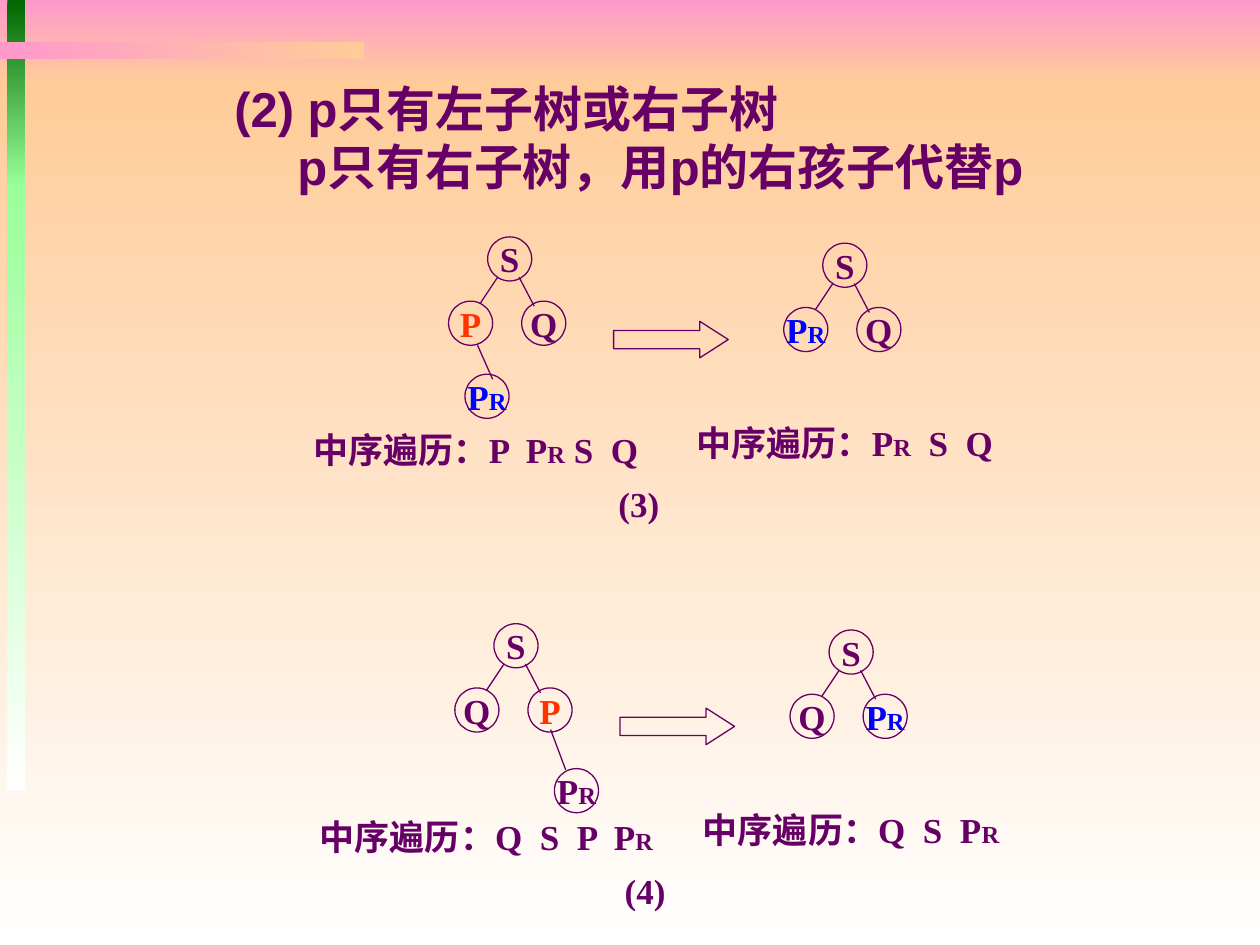
import itertools
import pptx
import pptx.util
import pptx.dml.color
import pptx.enum.shapes
import pptx.enum.text
import pptx.oxml.ns
import lxml.etree

RGB = pptx.dml.color.RGBColor
PLUM = RGB(0x66, 0x00, 0x66)
BLUE = RGB(0x00, 0x00, 0xFF)
RED = RGB(0xFF, 0x33, 0x00)
PINK = RGB(0xFF, 0x99, 0xCC)
PEACH = RGB(0xFF, 0xCC, 0x99)
WHITE = RGB(0xFF, 0xFF, 0xFF)
DARK = RGB(0x00, 0x66, 0x00)
LIME = RGB(0x99, 0xFF, 0x99)

SHAPE = pptx.enum.shapes.MSO_SHAPE
ALIGN = pptx.enum.text.PP_ALIGN
ANCHOR = pptx.enum.text.MSO_ANCHOR
FIT = pptx.enum.text.MSO_AUTO_SIZE
Inches = pptx.util.Inches
Pt = pptx.util.Pt

TITLE = [("(2) p只有左子树或右子树", 1.5), ("p只有右子树，用p的右孩子代替p", 2)]
BANDS = [
    ((0, 0, 10, 0.67), PINK, PEACH, 270),
    ((0, 0.67, 10, 6.83), PEACH, WHITE, 270),
    ((0.06, 0, 0.14, 1.48), DARK, LIME, 270),
    ((0.06, 1.46, 0.14, 4.81), LIME, WHITE, 270),
    ((0, 0.33, 2.89, 0.14), PINK, PEACH, 0),
]
CASES = [
    {
        "name": "(3)",
        "before": [("S", PLUM), ("P", RED), ("Q", PLUM)],
        "child": ("PR", BLUE, (-0.18, 1.09), (-0.08, 0.86, 0.04, 1.13)),
        "after": [("S", PLUM), ("PR", BLUE), ("Q", PLUM)],
        "orders": [("中序遍历：P  PR S  Q", 2.86), ("中序遍历：PR  S  Q", 2.62)],
    },
    {
        "name": "(4)",
        "before": [("S", PLUM), ("Q", PLUM), ("P", RED)],
        "child": ("PR", PLUM, (0.48, 1.15), (0.45, 0.84, 0.57, 1.16)),
        "after": [("S", PLUM), ("Q", PLUM), ("PR", BLUE)],
        "orders": [("中序遍历：Q  S  P  PR", 2.93), ("中序遍历：Q  S  PR", 2.62)],
    },
]

ROOT = (3.87, 1.88)
STEP = (0.05, 3.07)
SHIFT = (2.66, 0.05)
SPOTS = [(0, 0), (-0.31, 0.51), (0.27, 0.51)]
EDGES = [(0.08, 0.32, -0.06, 0.53), (0.25, 0.32, 0.37, 0.55)]
SIZE = 0.35
TALL = 0.44


def write(shape, text, color, align=ALIGN.CENTER):
    frame = shape.text_frame
    frame.word_wrap = False
    frame.vertical_anchor = ANCHOR.MIDDLE
    para = frame.paragraphs[0]
    para.alignment = align
    for small, chars in itertools.groupby(text, lambda c: c == "R"):
        run = para.add_run()
        run.text = "".join(chars)
        font = run.font
        font.name = "Times New Roman"
        font.size = Pt(14 if small else 20)
        font.bold = True
        font.color.rgb = color


def outline(shapes, kind, *box):
    shape = shapes.add_shape(kind, *map(Inches, box))
    shape.shadow.inherit = False
    shape.fill.background()
    shape.line.color.rgb = PLUM
    shape.line.width = Pt(0.75)
    return shape


def label(shapes, text, x, y, width, align):
    box = shapes.add_textbox(*map(Inches, (x, y, width, TALL)))
    write(box, text, PLUM, align)
    box.text_frame.auto_size = FIT.SHAPE_TO_FIT_TEXT


def node(shapes, text, color, x, y):
    write(outline(shapes, SHAPE.OVAL, x, y, SIZE, SIZE), text, color)


def edge(shapes, x, y, ends):
    points = [Inches(base + end) for base, end in zip((x, y, x, y), ends)]
    kind = pptx.enum.shapes.MSO_CONNECTOR.STRAIGHT
    line = shapes.add_connector(kind, *points)
    line.line.color.rgb = PLUM
    line.line.width = Pt(0.75)
    props = line.element.spPr
    lxml.etree.SubElement(props, pptx.oxml.ns.qn("a:effectLst"))


def tree(shapes, nodes, x, y):
    for (text, color), (dx, dy) in zip(nodes, SPOTS):
        node(shapes, text, color, x + dx, y + dy)
    for ends in EDGES:
        edge(shapes, x, y, ends)


def draw(shapes, case, x, y):
    right, low = x + SHIFT[0], y + SHIFT[1]
    tree(shapes, case["before"], x, y)
    text, color, (dx, dy), ends = case["child"]
    node(shapes, text, color, x + dx, y + dy)
    edge(shapes, x, y, ends)
    tree(shapes, case["after"], right, low)
    arrow = outline(shapes, SHAPE.RIGHT_ARROW, x + 1, y + 0.67, 0.91, 0.29)
    arrow.adjustments[1] = 0.78
    places = [(x - 1.48, y + 1.47), (right - 1.1, low + 1.36)]
    for (text, width), (left, top) in zip(case["orders"], places):
        label(shapes, text, left, top, width, ALIGN.LEFT)
    label(shapes, case["name"], x + 0.9, y + 1.9, 0.6, ALIGN.CENTER)


def head(title):
    title.left, title.top, title.width, title.height = map(
        Inches, (0.26, 0.57, 8.92, 1.04))
    frame = title.text_frame
    frame.text = "\n".join(text for text, _ in TITLE)
    frame.word_wrap = True
    frame.auto_size = FIT.NONE
    frame.vertical_anchor = ANCHOR.TOP
    for para, (_, indent) in zip(frame.paragraphs, TITLE):
        para.alignment = ALIGN.LEFT
        props = para._p.get_or_add_pPr()
        props.set("marL", str(Inches(indent)))
        props.set("indent", "0")
        font = para.runs[0].font
        font.name = "Arial"
        font.size = Pt(28)
        font.bold = True
        font.color.rgb = PLUM


def main():
    deck = pptx.Presentation()
    deck.slide_width, deck.slide_height = Inches(10), Inches(7.5)
    slide = deck.slides.add_slide(deck.slide_layouts[5])
    for box, start, end, angle in BANDS:
        band = slide.shapes.add_shape(SHAPE.RECTANGLE, *map(Inches, box))
        band.shadow.inherit = False
        band.line.fill.background()
        band.fill.gradient()
        band.fill.gradient_angle = angle
        for stop, color in zip(band.fill.gradient_stops, (start, end)):
            stop.color.rgb = color
    for row, case in enumerate(CASES):
        group = slide.shapes.add_group_shape()
        draw(group.shapes, case, ROOT[0] + row * STEP[0], ROOT[1] + row * STEP[1])
    title = slide.shapes.title
    head(title)
    title.element.getparent().append(title.element)
    deck.save("out.pptx")


if __name__ == "__main__":
    main()
